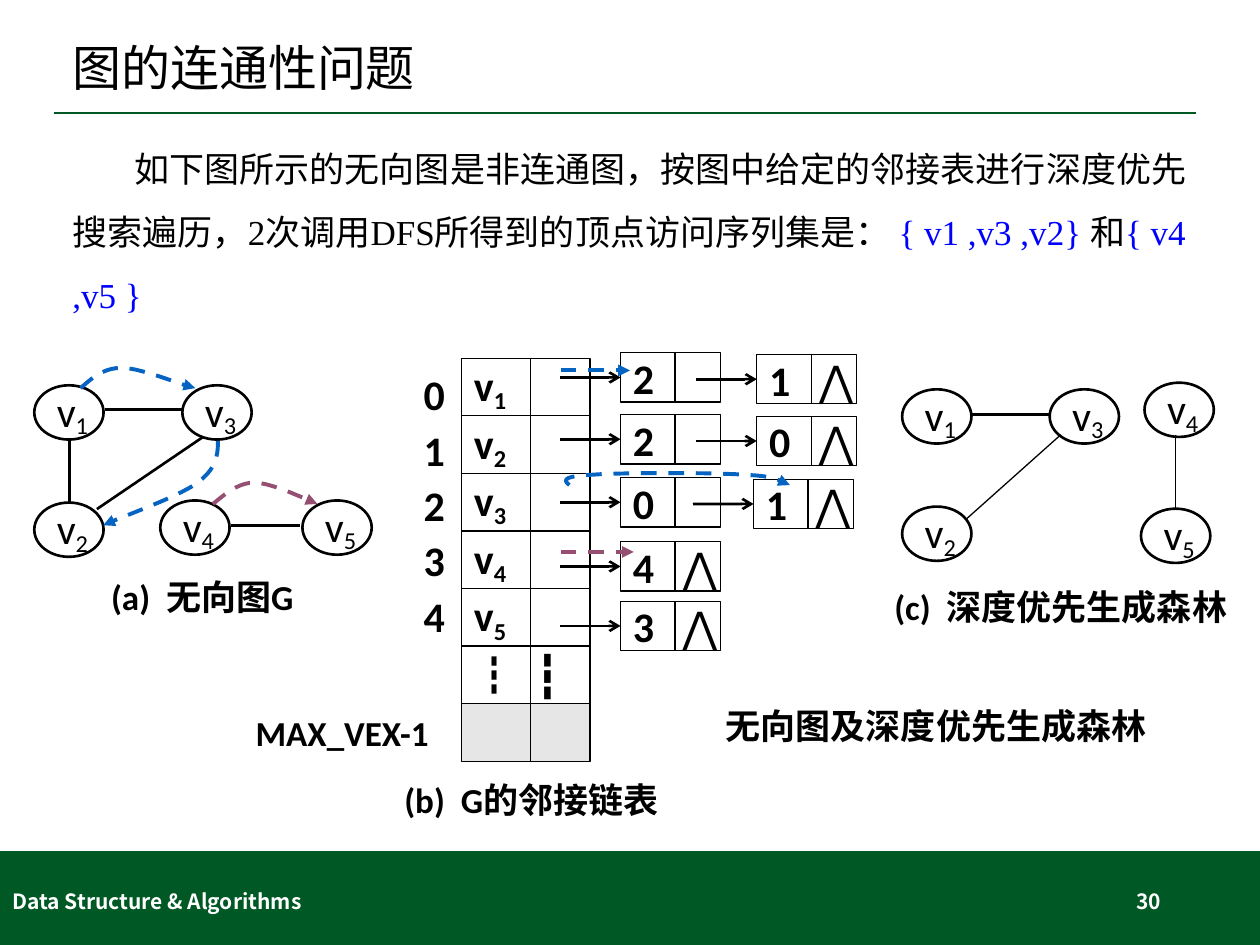
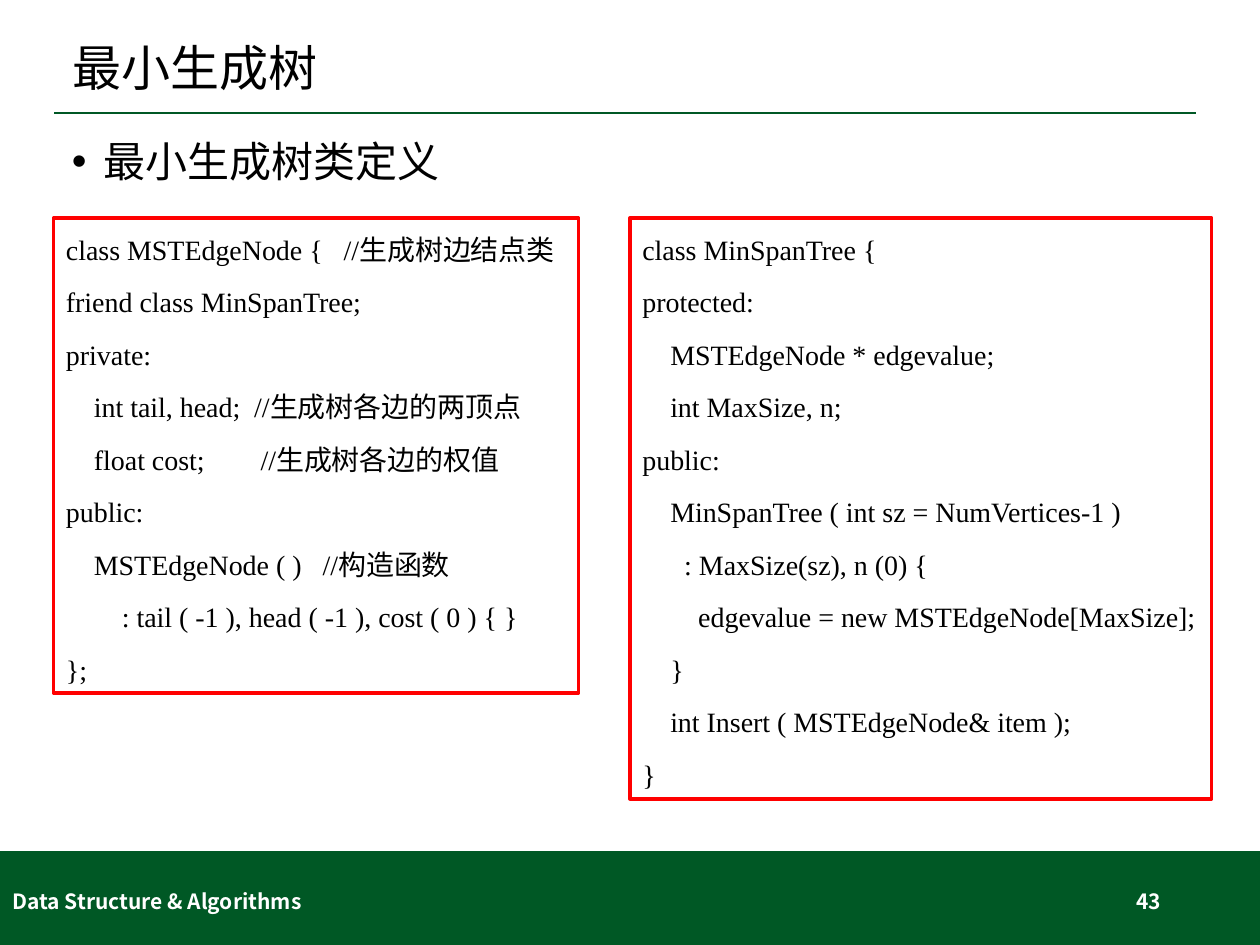
from lxml import etree
from pptx import Presentation
from pptx.dml import color
from pptx.enum import dml, shapes, text
from pptx.oxml import ns
from pptx.util import Pt

paint = color.RGBColor.from_string
GREEN, BLACK, WHITE, RED = "005825", "000000", "FFFFFF", "FF0000"
BLUE, PURPLE, GREY, ANSWER = "0563C1", "954F72", "E7E6E6", "0000FF"
CJK = "Noto Sans CJK SC"
SERIF = "Times New Roman"


def write(shape, paragraphs, size=20, font="Calibri", asian=CJK, hue=BLACK, bold=False,
          anchor=text.MSO_ANCHOR.MIDDLE, align=text.PP_ALIGN.LEFT, spacing=None, before=None,
          indent=0, margin=0, bullet=None, wrap=True):
    frame = shape.text_frame
    frame.word_wrap = wrap
    frame.vertical_anchor = anchor
    for number, content in enumerate(paragraphs):
        paragraph = frame.add_paragraph() if number else frame.paragraphs[0]
        paragraph.alignment = align
        if spacing:
            paragraph.line_spacing = spacing
        if before and number:
            paragraph.space_before = Pt(before)
        properties = paragraph._p.get_or_add_pPr()
        properties.set("marL", str(Pt(margin)))
        properties.set("indent", str(Pt(indent)))
        if bullet:
            etree.SubElement(properties, ns.qn("a:buFont"), typeface="Arial")
            etree.SubElement(properties, ns.qn("a:buChar"), char=bullet)
        for part in [content] if isinstance(content, str) else content:
            words, own = (part, {}) if isinstance(part, str) else part
            run = paragraph.add_run()
            run.text = words
            run.font.size = Pt(size)
            run.font.bold = own.get("bold", bold)
            run.font.name = own.get("font", font)
            run.font.color.rgb = paint(own.get("hue", hue))
            letters = run._r.get_or_add_rPr()
            etree.SubElement(letters, ns.qn("a:ea"), typeface=own.get("asian", asian))
            if "baseline" in own:
                letters.set("baseline", str(own["baseline"] * 1000))
            if "gap" in own:
                letters.set("spc", str(round(own["gap"] * 100)))


def stroke(slide, points, hue=BLACK, width=1.5, dashed=False, tip=None):
    ends = [(Pt(x), Pt(y)) for x, y in points]
    if len(ends) == 2:
        mark = slide.shapes.add_connector(shapes.MSO_CONNECTOR.STRAIGHT, *ends[0], *ends[1])
    else:
        builder = slide.shapes.build_freeform(*ends[0])
        builder.add_line_segments(ends[1:], close=False)
        mark = builder.convert_to_shape()
        mark.fill.background()
    mark.line.color.rgb = paint(hue)
    mark.line.width = Pt(width)
    if dashed:
        mark.line.dash_style = dml.MSO_LINE.DASH
    properties = mark._element.spPr
    if tip:
        etree.SubElement(properties.find(ns.qn("a:ln")), ns.qn("a:tailEnd"), type=tip)
    etree.SubElement(properties, ns.qn("a:effectLst"))
    return mark


deck = Presentation()
deck.slide_width, deck.slide_height = Pt(720), Pt(540)

pages = []
for title, page_number in [("图的连通性问题", "30"), ("最小生成树", "43")]:
    slide = deck.slides.add_slide(deck.slide_layouts[6])
    band = slide.shapes.add_shape(shapes.MSO_SHAPE.RECTANGLE, 0, Pt(486.4), Pt(720), Pt(53.6))
    band.shadow.inherit = False
    band.fill.solid()
    band.fill.fore_color.rgb = paint(GREEN)
    band.line.fill.background()
    stroke(slide, [(31, 64.6), (683.3, 64.6)], GREEN, 1)
    heading = slide.shapes.add_textbox(Pt(34.3), Pt(16.5), Pt(652), Pt(47.5))
    write(heading, [title], size=28, spacing=0.9)
    course = slide.shapes.add_textbox(0, Pt(500.5), Pt(243), Pt(29))
    write(course, ["Data Structure & Algorithms"], size=12, font=CJK, hue=WHITE, bold=True)
    folio = slide.shapes.add_textbox(Pt(508.4), Pt(500.5), Pt(162), Pt(29))
    write(folio, [page_number], size=12, font=CJK, hue=WHITE, bold=True,
          align=text.PP_ALIGN.RIGHT)
    pages.append(slide)
connectivity, spanning = pages

intro = connectivity.shapes.add_textbox(Pt(34.3), Pt(69), Pt(652), Pt(407))
write(intro, [["如下图所示的无向图是非连通图，按图中给定的邻接表进行深度优先搜索遍历，"
               "2次调用DFS所得到的顶点访问序列集是： ",
               ("{ v1 ,v3 ,v2} ", {"hue": ANSWER}), "和",
               ("{ v4 ,v5 }", {"hue": ANSWER})]],
      font=SERIF, spacing=1.5, indent=35.5, anchor=text.MSO_ANCHOR.TOP)

LABEL_GAP = (" ", {"gap": 4.5})
captions = [
    (["(a)", LABEL_GAP, "无向图G"], 56.4, 328.3, 150),
    (["(b)", LABEL_GAP, "G的邻接链表"], 224, 444.4, 180),
    (["(c)", LABEL_GAP, "深度优先生成森林"], 504, 334.1, 216),
    (["无向图及深度优先生成森林"], 407.6, 401.8, 270),
    (["MAX_VEX-1"], 139, 406, 125),
]
for caption, left, top, width in captions:
    label = connectivity.shapes.add_textbox(Pt(left), Pt(top), Pt(width), Pt(25.5))
    write(label, [caption], bold=True)

indexes = connectivity.shapes.add_textbox(Pt(235), Pt(203.8), Pt(28), Pt(166.3))
write(indexes, [str(index) for index in range(5)], size=24, bold=True, spacing=1.1, wrap=False)

vertices = [
    (1, 19.6, 220.2), (2, 19.6, 287.2), (3, 104.2, 220.2), (4, 91.6, 286), (5, 172.8, 286),
    (1, 515.5, 222.5), (2, 515.5, 289.5), (3, 599.8, 222.5), (4, 654, 218.7), (5, 652, 290.7),
]
for number, left, top in vertices:
    vertex = connectivity.shapes.add_shape(
        shapes.MSO_SHAPE.OVAL, Pt(left), Pt(top), Pt(39.6), Pt(31))
    vertex.shadow.inherit = False
    vertex.fill.background()
    vertex.line.color.rgb = paint(BLACK)
    vertex.line.width = Pt(1.5)
    write(vertex, [["v", (str(number), {"baseline": -18})]], size=24, wrap=False)

edges = [
    (39.6, 251.3, 39.6, 287.3, 1.5), (55.4, 290.9, 115.9, 249.8, 1.5),
    (59.8, 234, 105.1, 234, 1.5), (131.8, 300.2, 171.4, 300.2, 1.5),
    (555.1, 236.9, 600.5, 236.9, 1.5), (606.2, 248.4, 552.2, 296.6, 0.75),
    (671.8, 248.4, 671.8, 290.9, 0.75),
]
for x1, y1, x2, y2, width in edges:
    stroke(connectivity, [(x1, y1), (x2, y2)], width=width)

ROW, STEP = 32.9, 34.6
END_OF_LIST = [(" ", {"gap": 10.8}), ("⋀", {"bold": False})]
cells = []
for row in range(7):
    content, fill = [["v", (str(row + 1), {"baseline": -20})]], None
    if row == 5:
        content = [[("┇", {"font": CJK}), (" ", {"gap": 5.4}), ("┇", {"asian": "Calibri"})]]
    elif row == 6:
        content, fill = [], GREY
    cells.append((content, 263.7, 204.7 + row * ROW, 73.5, ROW, 39.6, fill, False))

lists = [(201.6, "2", "1", 432.4), (236.9, "2", "0", 432.4), (272.9, "0", "1", 430.6),
         (309.6, "4", None, None), (343.6, "3", None, None)]
for top, first, second, second_left in lists:
    chain = [(first, 354.6, top)]
    if second:
        chain.append((second, second_left, top + 1))
    for place, (index, left, node_top) in enumerate(chain):
        ending = END_OF_LIST if place == len(chain) - 1 else []
        cells.append(([[index, *ending]], left, node_top, 57, 28.2, 31.2, None, True))

for content, left, top, width, height, split, fill, linked in cells:
    cell = connectivity.shapes.add_shape(
        shapes.MSO_SHAPE.RECTANGLE, Pt(left), Pt(top), Pt(width), Pt(height))
    cell.shadow.inherit = False
    cell.fill.background()
    if fill:
        cell.fill.solid()
        cell.fill.fore_color.rgb = paint(fill)
    cell.line.color.rgb = paint(BLACK)
    cell.line.width = Pt(0.75)
    write(cell, content, size=24, bold=True, wrap=False)
    stroke(connectivity, [(left + split, top), (left + split, top + height)], width=0.75)
    if linked:
        middle = top + height / 2
        pointer = stroke(connectivity, [(left - STEP, middle), (left, middle)], tip="arrow")
        pointer.end_connect(cell, 1)

stroke(connectivity, [(320.4, 211.7), (360, 211.7)], BLUE, 2.25, True, "triangle")
stroke(connectivity, [(320.4, 315.4), (362.2, 315.4)], PURPLE, 2.25, True, "triangle")

visits = [
    (BLUE, [(46.1, 221.8), (52.6, 216), (59, 210.2), (69.8, 210.2),
            (80.6, 210.2), (104.4, 220.3), (111.6, 221.8)]),
    (BLUE, [(124.6, 252), (124.6, 259.9), (123.8, 267.8), (113, 275.8),
            (101.5, 284.4), (67.7, 295.9), (59, 300.2)]),
    (PURPLE, [(121.7, 288), (128.9, 282.2), (136.1, 275.8), (145.4, 275.8),
              (155.5, 275.8), (175.7, 285.8), (181.4, 288)]),
    (BLUE, [(325.4, 277.2), (322.6, 275), (320.4, 272.2), (337, 271.4),
            (354.2, 270), (408.2, 270), (427, 271.4),
            (446.4, 272.2), (447.1, 276.5), (451.4, 277.2)]),
]
for hue, controls in visits:
    route = [controls[0]]
    for start in range(0, len(controls) - 1, 3):
        a, b, c, d = controls[start:start + 4]
        for t in [step / 10 for step in range(1, 11)]:
            u = 1 - t
            route.append(tuple(u**3 * a[k] + 3 * u * u * t * b[k] + 3 * u * t * t * c[k]
                               + t**3 * d[k] for k in (0, 1)))
    stroke(connectivity, route, hue, 2.25, True, "triangle")

topic = spanning.shapes.add_textbox(Pt(34), Pt(77), Pt(652), Pt(399))
write(topic, ["最小生成树类定义"], size=24, spacing=0.9, margin=18, indent=-18, bullet="•",
      anchor=text.MSO_ANCHOR.TOP)

edge_class = """class MSTEdgeNode {   //生成树边结点类
friend class MinSpanTree;
private:
    int tail, head;  //生成树各边的两顶点
    float cost;        //生成树各边的权值
public:
    MSTEdgeNode ( )   //构造函数
        : tail ( -1 ), head ( -1 ), cost ( 0 ) { }
};"""
tree_class = """class MinSpanTree {
protected:
    MSTEdgeNode * edgevalue;
    int MaxSize, n;
public:
    MinSpanTree ( int sz = NumVertices-1 )
      : MaxSize(sz), n (0) {
        edgevalue = new MSTEdgeNode[MaxSize];
    }
    int Insert ( MSTEdgeNode& item );
}"""
for code, left, width, height in [(edge_class, 30.6, 300, 271.5), (tree_class, 360, 332.4, 332)]:
    listing = spanning.shapes.add_shape(
        shapes.MSO_SHAPE.RECTANGLE, Pt(left), Pt(124.5), Pt(width), Pt(height))
    listing.shadow.inherit = False
    listing.fill.background()
    listing.line.color.rgb = paint(RED)
    listing.line.width = Pt(2)
    write(listing, code.split("\n"), size=16, font=SERIF, spacing=1.25, before=6,
          anchor=text.MSO_ANCHOR.TOP)

deck.save("out.pptx")
